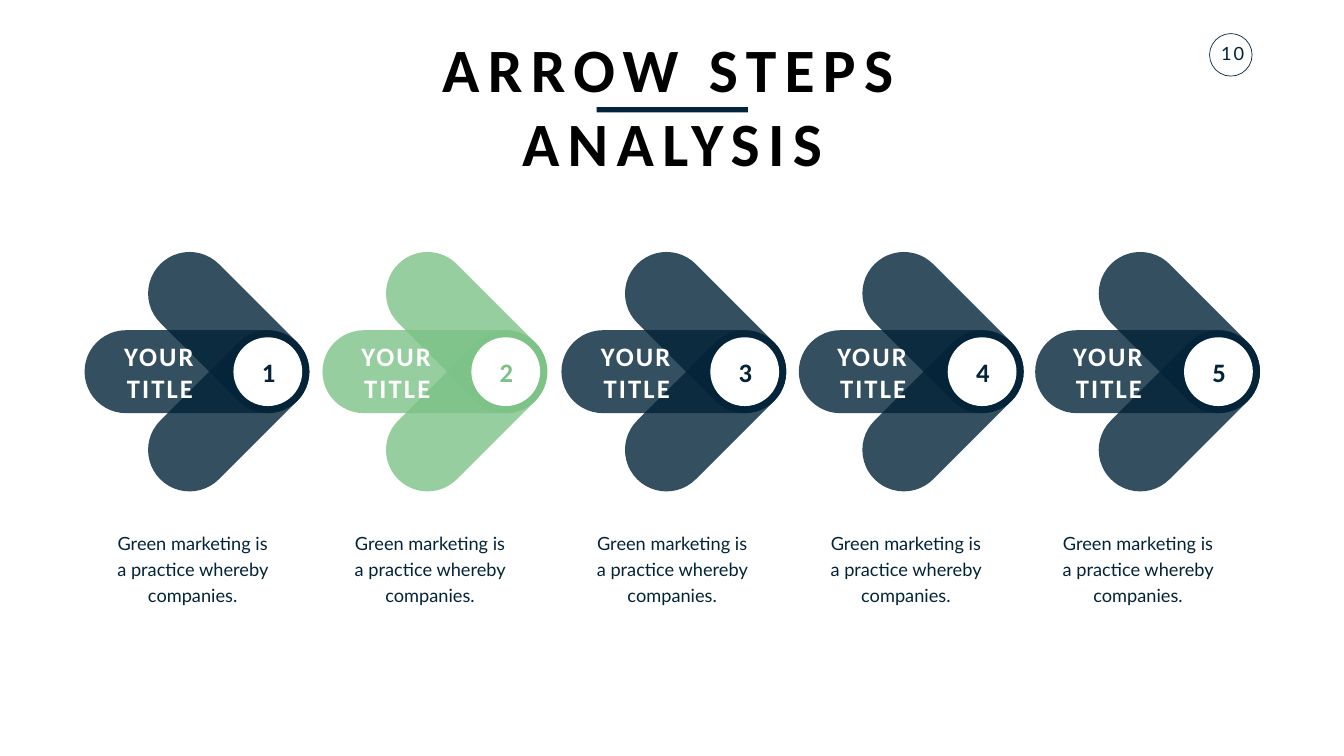
import math

import pptx
import pptx.dml.color
import pptx.enum.shapes
import pptx.enum.text
import pptx.oxml
import pptx.oxml.ns
import pptx.util

PX = 9525  # EMU per px, 96 px to the inch
NAVY, GREEN, WHITE, BLACK = "022338", "7CC287", "FFFFFF", "000000"

PAGE_NUMBER = "10"
HEADING = "ARROW STEPS ANALYSIS"
LABEL = "YOUR TITLE"
CAPTION = "Green marketing is a practice whereby companies."
# number, colour, left of arrow, left of label, left of caption
STEPS = [
    ("1", NAVY, 161, 189, 189),
    ("2", GREEN, 614, 641, 641),
    ("3", NAVY, 1069, 1097, 1102),
    ("4", NAVY, 1521, 1547, 1547),
    ("5", NAVY, 1971, 1996, 1989),
]

AXIS_Y = 708       # height of the arrow tips
THICKNESS = 158    # of every bar
SHAFT_LENGTH = 428
ARM_RUN = 149      # horizontal reach of a slanted arm, cap centre to cap centre
DISC = 131
LABEL_HEIGHT = 71

SHAPES = pptx.enum.shapes.MSO_SHAPE
ANCHOR = pptx.enum.text.MSO_ANCHOR

deck = pptx.Presentation()
deck.slide_width, deck.slide_height = 2559 * PX, 1440 * PX
slide = deck.slides.add_slide(deck.slide_layouts[6])


def emu(*lengths):
    return [round(length * PX) for length in lengths]


def rgb(hex_colour):
    return pptx.dml.color.RGBColor.from_string(hex_colour)


def add_shape(preset, left, top, width, height, fill=None, line=None):
    shape = slide.shapes.add_shape(preset, *emu(left, top, width, height))
    shape.shadow.inherit = False
    if fill:
        shape.fill.solid()
        shape.fill.fore_color.rgb = rgb(fill)
    else:
        shape.fill.background()
    if line:
        shape.line.color.rgb = rgb(line)
        shape.line.width = pptx.util.Pt(1)
    else:
        shape.line.fill.background()
    return shape


def add_bar(centre_x, centre_y, length, colour, rotation=0):
    """Add a round-ended, 80 % opaque bar about its centre."""
    bar = add_shape(SHAPES.ROUNDED_RECTANGLE, centre_x - length / 2,
                    centre_y - THICKNESS / 2, length, THICKNESS, colour)
    bar.adjustments[0] = 0.5
    bar.rotation = rotation
    fill_colour = bar.fill._xPr.find(".//" + pptx.oxml.ns.qn("a:srgbClr"))
    alpha = pptx.oxml.parse_xml(
        f'<a:alpha {pptx.oxml.ns.nsdecls("a")} val="80000"/>')
    fill_colour.append(alpha)


def add_text(text, left, top, width, height, size, colour, font="Calibri",
             bold=False, spacing=0, anchor=ANCHOR.TOP, line_pt=None,
             margins=None):
    """Add centred text; spacing is the gap between letters in points."""
    frame = slide.shapes.add_textbox(*emu(left, top, width, height)).text_frame
    frame.word_wrap = True
    frame.vertical_anchor = anchor
    if margins:
        side, end = emu(*margins)
        frame.margin_left = frame.margin_right = side
        frame.margin_top = frame.margin_bottom = end
    paragraph = frame.paragraphs[0]
    paragraph.alignment = pptx.enum.text.PP_ALIGN.CENTER
    if line_pt:
        paragraph.line_spacing = pptx.util.Pt(line_pt)
    run = paragraph.add_run()
    run.text = text
    run.font.name = font
    run.font.size = pptx.util.Pt(size)
    run.font.bold = bold
    run.font.color.rgb = rgb(colour)
    if spacing:
        run.font._element.set("spc", str(spacing * 100))


def add_step(number, colour, arrow_left, label_left, caption_left):
    tip_x = arrow_left + SHAFT_LENGTH - THICKNESS / 2
    arm_length = ARM_RUN * math.sqrt(2) + THICKNESS
    add_bar(arrow_left + SHAFT_LENGTH / 2, AXIS_Y, SHAFT_LENGTH, colour)
    for side, rotation in ((1, 315), (-1, 45)):
        add_bar(tip_x - ARM_RUN / 2, AXIS_Y + side * ARM_RUN / 2,
                arm_length, colour, rotation)
    add_shape(SHAPES.OVAL, tip_x - DISC / 2, AXIS_Y - DISC / 2, DISC, DISC, WHITE)

    label_top = AXIS_Y - LABEL_HEIGHT / 2
    label_style = dict(size=38, bold=True, spacing=3, anchor=ANCHOR.MIDDLE)
    add_text(LABEL, label_left, label_top, 231, LABEL_HEIGHT,
             colour=WHITE, **label_style)
    add_text(number, arrow_left + 328, label_top, 43, LABEL_HEIGHT,
             colour=colour, **label_style)
    add_text(CAPTION, caption_left, 994, 356, 167, 26, NAVY, "Lato",
             line_pt=37, margins=(23, 12))


add_shape(SHAPES.OVAL, 2303, 64, 81, 81, line=NAVY)
add_text(PAGE_NUMBER, 2310, 75, 74, 52, 26, NAVY, "Lato", spacing=3,
         margins=(0, 5))
for step in STEPS:
    add_step(*step)
add_text(HEADING, 679, 54, 1202, 152, 88, BLACK, bold=True, spacing=12)
add_shape(SHAPES.RECTANGLE, 1136, 204, 288, 10, NAVY)

deck.save("out.pptx")
